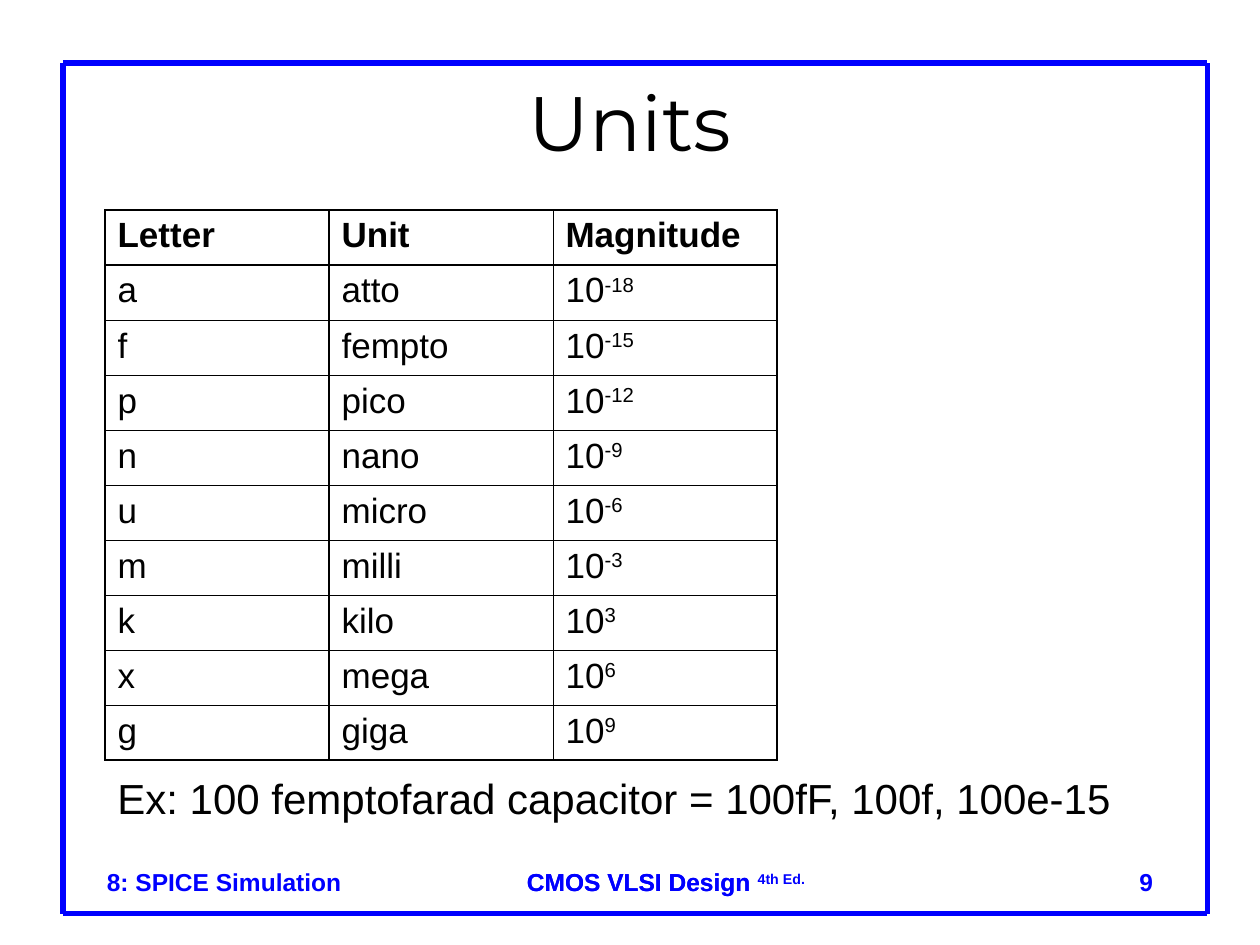
from dataclasses import dataclass

from lxml import etree
from pptx import Presentation, util as u
from pptx.dml.color import RGBColor
from pptx.enum import shapes, text
from pptx.oxml.ns import qn


@dataclass(frozen=True)
class Theme:
    blue: str = "0000FF"
    black: str = "000000"
    sans: str = "Arial"
    head: str = "Montserrat"
    small: int = 14
    cell: int = 20
    body: int = 24
    title: int = 44
    frame: float = 3
    thick: float = 1.08
    thin: float = 0.45


@dataclass(frozen=True)
class Style:
    size: int
    color: str
    name: str
    bold: bool = False


@dataclass(frozen=True)
class Label:
    area: tuple[float, float, float, float]
    words: str
    style: Style
    power: str = ""
    align: text.PP_ALIGN = text.PP_ALIGN.LEFT
    anchor: text.MSO_ANCHOR = text.MSO_ANCHOR.TOP


@dataclass(frozen=True)
class Unit:
    letter: str
    name: str
    power: str


T = Theme()
COLS, ROWS = 120, 90
WIDTH, HEIGHT = u.Inches(10), u.Inches(7.5)

FOOT = Style(T.small, T.blue, T.sans, True)
HEAD = Style(T.cell, T.black, T.sans, True)
CELL = Style(T.cell, T.black, T.sans)
BODY = Style(T.body, T.black, T.sans)
TITLE = Style(T.title, T.black, T.head)

LABELS = [
    Label((49, 82, 29, 4), "CMOS VLSI Design", FOOT),
    Label((49, 82, 30, 4), "CMOS VLSI Design ", FOOT, "4th Ed."),
    Label((9, 82, 102, 6), "8: SPICE Simulation", FOOT),
    Label((86, 82, 25, 6), "9", FOOT, align=text.PP_ALIGN.RIGHT),
    Label((9, 7, 102, 9), "Units", TITLE, align=text.PP_ALIGN.CENTER,
          anchor=text.MSO_ANCHOR.MIDDLE),
    Label((10, 73, 105, 6),
          "Ex: 100 femptofarad capacitor = 100fF, 100f, 100e-15", BODY),
]
HEADS = ("Letter", "Unit", "Magnitude")
UNITS = [
    Unit("a", "atto", "-18"), Unit("f", "fempto", "-15"),
    Unit("p", "pico", "-12"), Unit("n", "nano", "-9"),
    Unit("u", "micro", "-6"), Unit("m", "milli", "-3"),
    Unit("k", "kilo", "3"), Unit("x", "mega", "6"), Unit("g", "giga", "9"),
]


def col(n: float) -> int:
    return round(WIDTH * n / COLS)


def row(n: float) -> int:
    return round(HEIGHT * n / ROWS)


def place(area: tuple) -> tuple:
    x, y, w, h = area
    return col(x), row(y), col(w), row(h)


def apply(item, values: dict) -> None:
    for key, value in values.items():
        setattr(item, key, value)


def write(para, words: str, style: Style, power: str = "") -> None:
    for part, base in ((words, 0), (power, 30000)):
        if not part:
            continue
        run = para.add_run()
        run.text = part
        apply(run.font, {"size": u.Pt(style.size), "name": style.name,
                         "bold": style.bold})
        run.font.color.rgb = RGBColor.from_string(style.color)
        if base:
            run._r.get_or_add_rPr().set("baseline", str(base))


def draw_label(slide, label: Label) -> None:
    frame = slide.shapes.add_textbox(*place(label.area)).text_frame
    apply(frame, {"word_wrap": True, "vertical_anchor": label.anchor})
    para = frame.paragraphs[0]
    para.alignment = label.align
    write(para, label.words, label.style, label.power)


def draw_frame(slide, left: int, top: int, right: int, low: int) -> None:
    for x1, y1, x2, y2 in ((left, top, left, low), (left, top, right, top),
                           (right, top, right, low), (left, low, right, low)):
        line = slide.shapes.add_connector(
            shapes.MSO_CONNECTOR.STRAIGHT, col(x1), row(y1), col(x2), row(y2))
        line.line.width = u.Pt(T.frame)
        line.line.color.rgb = RGBColor.from_string(T.blue)
        etree.SubElement(line._element.spPr, qn("a:effectLst"))


def edge(cell, sides: dict[str, float]) -> None:
    props = cell._tc.get_or_add_tcPr()
    for spot, (side, width) in enumerate(sides.items()):
        line = etree.Element(qn(f"a:{side}"), w=str(u.Pt(width)))
        fill = etree.SubElement(line, qn("a:solidFill"))
        etree.SubElement(fill, qn("a:srgbClr"), val=T.black)
        props.insert(spot, line)


def draw_table(slide, area: tuple) -> None:
    count = len(UNITS) + 1
    table = slide.shapes.add_table(count, len(HEADS), *place(area)).table
    apply(table, {"first_row": False, "horz_banding": False})
    across = [T.thick, T.thick, T.thin, T.thick]
    down = [T.thick] * 2 + [T.thin] * (count - 2) + [T.thick]
    lines = [[(words, "") for words in HEADS]]
    lines += [[(n.letter, ""), (n.name, ""), ("10", n.power)] for n in UNITS]
    for r, line in enumerate(lines):
        for c, (words, power) in enumerate(line):
            cell = table.cell(r, c)
            cell.fill.background()
            edge(cell, {"lnL": across[c], "lnR": across[c + 1],
                        "lnT": down[r], "lnB": down[r + 1]})
            write(cell.text_frame.paragraphs[0], words,
                  CELL if r else HEAD, power)


def main() -> None:
    deck = Presentation()
    apply(deck, {"slide_width": WIDTH, "slide_height": HEIGHT})
    slide = deck.slides.add_slide(deck.slide_layouts[6])
    draw_frame(slide, 6, 6, 115, 87)
    for label in LABELS[:-1]:
        draw_label(slide, label)
    draw_table(slide, (10, 20, 64, 52.4))
    draw_label(slide, LABELS[-1])
    deck.save("out.pptx")


if __name__ == "__main__":
    main()
